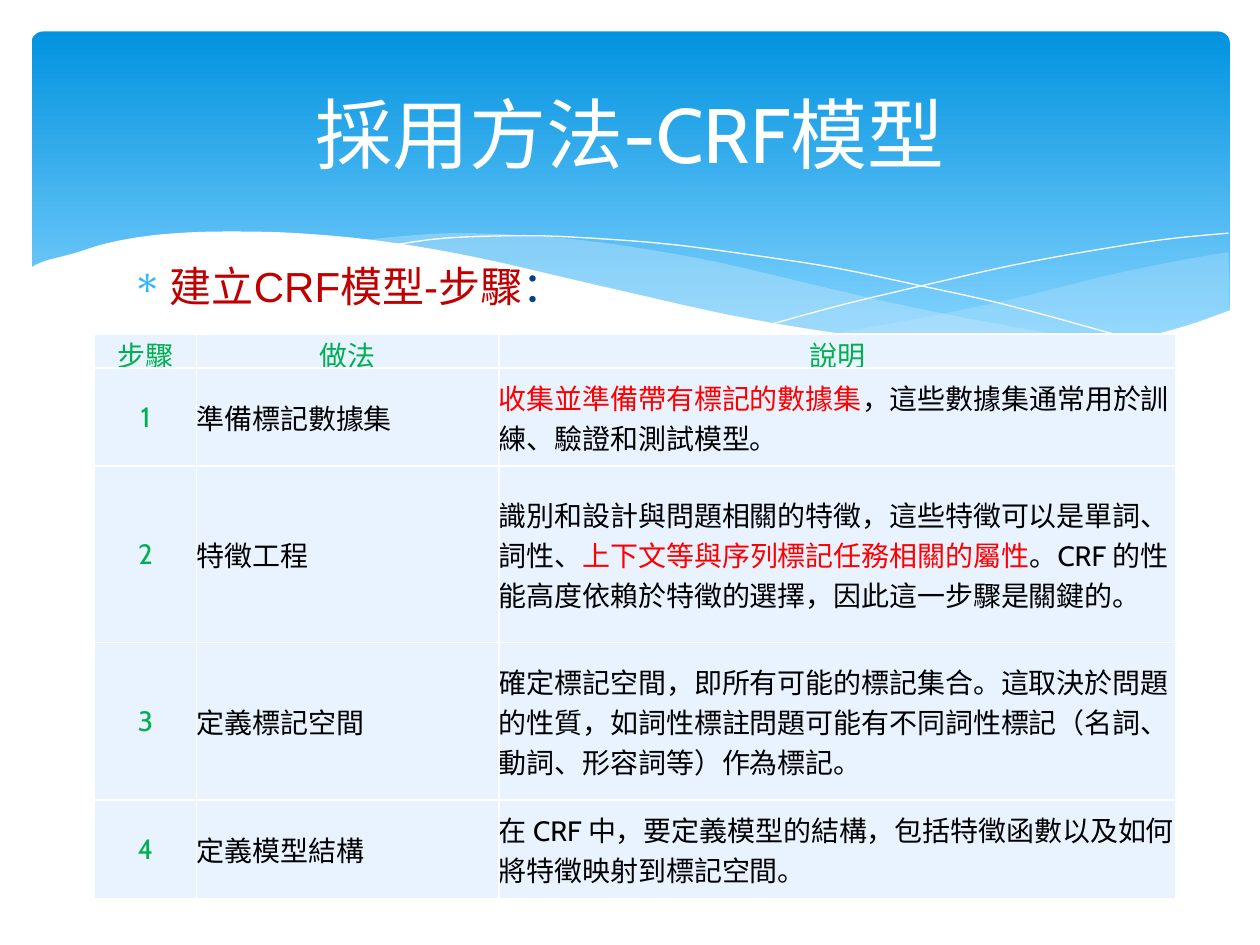
from lxml.etree import SubElement
from pptx import Presentation
from pptx.dml.color import RGBColor
from pptx.enum.shapes import MSO_SHAPE
from pptx.enum.text import MSO_ANCHOR, PP_ALIGN
from pptx.oxml.ns import qn
from pptx.util import Inches, Pt

SKY = RGBColor(0x02, 0x93, 0xE0)
PALE = RGBColor(0x83, 0xD3, 0xFE)
MIST = RGBColor(0xC6, 0xE7, 0xFC)
CELL = RGBColor(0xE8, 0xF3, 0xFF)
WHITE = RGBColor(0xFF, 0xFF, 0xFF)
BLACK = RGBColor(0, 0, 0)
GREEN = RGBColor(0, 0xB0, 0x50)
RED = RGBColor(0xFF, 0, 0)
WINE = RGBColor(0xC0, 0, 0)
NAVY = RGBColor(0x07, 0x3E, 0x87)
FONT = "Cabin"

# Wave knots in inches from the top left of the wave band
RIGHT_TOP = [(9.52, .16), (9.12, .23), (8.68, .32), (8.38, .39), (7.82, .53),
             (7.3, .64), (6.83, .73), (6.38, .81)]
RIGHT_LOW = [(6.38, .81), (6.96, .87), (7.46, .92), (7.91, .94), (8.12, .93),
             (8.58, .89), (8.98, .81), (9.26, .73), (9.53, .63)]
WIDE_TOP = [(8.7, .89), (8.14, .81), (7.52, .7), (6.83, .56), (6.06, .38),
            (5.46, .24), (4.91, .14), (4.42, .07), (3.97, .03), (3.38, .01),
            (2.9, .04), (2.63, .07)]
WIDE_LOW = [(2.63, .07), (3.19, .15), (3.81, .27), (4.26, .38), (5.07, .56),
            (5.78, .71), (6.42, .82), (6.99, .9), (7.62, .94), (8.15, .94),
            (8.7, .89)]
FALL = [(2.86, .11), (3.3, .05), (3.93, .03), (4.46, .05), (5.1, .1),
        (5.85, .2), (6.42, .29), (7.04, .42), (7.72, .57), (8.46, .77),
        (8.84, .88)]
RISE = [(5.9, .73), (6.49, .57), (7.25, .39), (7.83, .26), (8.43, .15),
        (9.01, .06), (9.52, .01)]
FRONT = [(9.54, .62), (9.17, .75), (8.76, .85), (8.27, .91), (7.86, .93),
         (7.38, .91), (6.85, .86), (6.25, .78), (5.56, .66), (4.8, .49),
         (4.24, .36), (3.68, .23), (3.17, .13), (2.69, .06), (2.27, .02),
         (1.88, 0), (1.38, 0), (.96, .03), (.62, .09), (.36, .17),
         (.13, .23), (0, .29)]

HEAD = ["步驟", "做法", "說明"]
STEPS = [
    ("準備標記數據集",
     [("收集並準備帶有標記的數據集", RED),
      ("，這些數據集通常用於訓練、驗證和測試模型。", BLACK)]),
    ("特徵工程",
     [("識別和設計與問題相關的特徵，這些特徵可以是單詞、詞性、", BLACK),
      ("上下文等與序列標記任務相關的屬性", RED),
      ("。CRF 的性能高度依賴於特徵的選擇，因此這一步驟是關鍵的。", BLACK)]),
    ("定義標記空間",
     [("確定標記空間，即所有可能的標記集合。這取決於問題的性質，"
       "如詞性標註問題可能有不同詞性標記（名詞、動詞、形容詞等）作為標記。", BLACK)]),
    ("定義模型結構",
     [("在 CRF 中，要定義模型的結構，包括特徵函數以及如何將特徵映射到標記空間。", BLACK)]),
]
COLS = [.81, 2.4, 5.37]
ROWS = [.27, .78, 1.4, 1.25, .78]


def smooth(knots, parts=4):
    """Points of a Catmull-Rom curve through the knots."""
    ends = [knots[0], *knots, knots[-1]]
    points = [knots[0]]
    for a, b, c, d in zip(ends, ends[1:], ends[2:], ends[3:]):
        for step in range(1, parts + 1):
            t = step / parts
            points.append(tuple(
                (2 * q + (r - p) * t + (2 * p - 5 * q + 4 * r - s) * t ** 2
                 + (3 * q - p - 3 * r + s) * t ** 3) / 2
                for p, q, r, s in zip(a, b, c, d)))
    return points


def add_path(slide, left, top, points, close):
    spots = [(Inches(left + x), Inches(top + y)) for x, y in points]
    pen = slide.shapes.build_freeform(*spots[0])
    pen.add_line_segments(spots[1:], close=close)
    shape = pen.convert_to_shape()
    shape.shadow.inherit = False
    return shape


def add_area(slide, left, top, points, color, alpha=100):
    shape = add_path(slide, left, top, points, True)
    shape.line.fill.background()
    shape.fill.solid()
    shape.fill.fore_color.rgb = color
    if alpha < 100:
        tint = shape.fill._xPr.find(".//" + qn("a:srgbClr"))
        SubElement(tint, qn("a:alpha"), val=str(alpha * 1000))


def add_waves(slide, left, top):
    add_area(slide, left, top, smooth(RIGHT_TOP) + smooth(RIGHT_LOW), MIST, 29)
    add_area(slide, left, top, smooth(WIDE_TOP) + smooth(WIDE_LOW), MIST, 40)
    for knots in (FALL, RISE):
        curve = add_path(slide, left, top, smooth(knots), False)
        curve.fill.background()
        curve.line.color.rgb = WHITE
        curve.line.width = Pt(0)
    base = [(0, 1.45), (9.54, 1.45)]
    add_area(slide, left, top, smooth(FRONT) + base, WHITE)


def add_banner(slide, left, top, width, height):
    panel = slide.shapes.add_shape(
        MSO_SHAPE.ROUNDED_RECTANGLE,
        *map(Inches, (left, top, width, height)))
    panel.adjustments[0] = .034
    panel.shadow.inherit = False
    panel.line.fill.background()
    panel.fill.gradient()
    panel.fill.gradient_angle = 270
    for stop, color, place in zip(panel.fill.gradient_stops,
                                  (SKY, PALE), (0, .9)):
        stop.color.rgb = color
        stop.position = place
    add_waves(slide, left - .02, top + 1.59)


def write(para, runs, size, font=FONT):
    para.font.size = Pt(size)
    para.font.name = font
    for text, color in runs:
        run = para.add_run()
        run.text = text
        run.font.color.rgb = color


def add_text(slide, box, anchor):
    frame = slide.shapes.add_textbox(*map(Inches, box)).text_frame
    frame.word_wrap = True
    frame.vertical_anchor = anchor
    return frame.paragraphs[0]


def add_title(slide, *box):
    para = add_text(slide, box, MSO_ANCHOR.MIDDLE)
    para.alignment = PP_ALIGN.CENTER
    write(para, [("採用方法-CRF模型", WHITE)], 44)


def add_topic(slide, *box):
    para = add_text(slide, box, MSO_ANCHOR.TOP)
    write(para, [("建立CRF模型-步驟", WINE), ("：", NAVY)], 24, "Arial")
    para.space_before = Pt(5)
    props = para._p.get_or_add_pPr()
    props.set("marL", str(Inches(.3)))
    props.set("indent", str(-Inches(.3)))
    # Bullet parts go right after the spacing, ahead of the font
    mark = SubElement(props, qn("a:buClr"))
    SubElement(mark, qn("a:srgbClr"), val="31B6FD")
    char = SubElement(props, qn("a:buChar"), char="∗")
    props.find(qn("a:spcBef")).addnext(mark)
    mark.addnext(char)


def fill_cell(cell, runs, align):
    cell.margin_left = cell.margin_right = 0
    cell.margin_top = cell.margin_bottom = 0
    cell.vertical_anchor = MSO_ANCHOR.MIDDLE
    para = cell.text_frame.paragraphs[0]
    para.alignment = align
    write(para, runs, 16)
    props = cell._tc.get_or_add_tcPr()
    for side in ("lnL", "lnR", "lnT", "lnB"):
        edge = SubElement(props, qn("a:" + side), w=str(Pt(1)))
        paint = SubElement(edge, qn("a:solidFill"))
        SubElement(paint, qn("a:srgbClr"), val=str(WHITE))
    cell.fill.solid()
    cell.fill.fore_color.rgb = CELL


def add_steps(slide, left, top):
    table = slide.shapes.add_table(
        len(ROWS), len(COLS),
        *map(Inches, (left, top, sum(COLS), sum(ROWS)))).table
    table.first_row = table.horz_banding = False
    for col, width in zip(table.columns, COLS):
        col.width = Inches(width)
    for row, height in zip(table.rows, ROWS):
        row.height = Inches(height)
    for i, text in enumerate(HEAD):
        fill_cell(table.cell(0, i), [(text, GREEN)], PP_ALIGN.CENTER)
    for i, (name, notes) in enumerate(STEPS, 1):
        fill_cell(table.cell(i, 0), [(str(i), GREEN)], PP_ALIGN.CENTER)
        fill_cell(table.cell(i, 1), [(name, BLACK)], PP_ALIGN.LEFT)
        fill_cell(table.cell(i, 2), notes, PP_ALIGN.LEFT)


def main():
    deck = Presentation()
    deck.slide_width, deck.slide_height = Inches(10), Inches(7.5)
    slide = deck.slides.add_slide(deck.slide_layouts[6])
    add_banner(slide, .25, .25, 9.51, 2.7)
    add_title(slide, .5, .37, 9, 1.37)
    add_topic(slide, .95, 2.02, 8.1, 3.77)
    add_steps(slide, .75, 2.65)
    deck.save("out.pptx")


if __name__ == "__main__":
    main()
